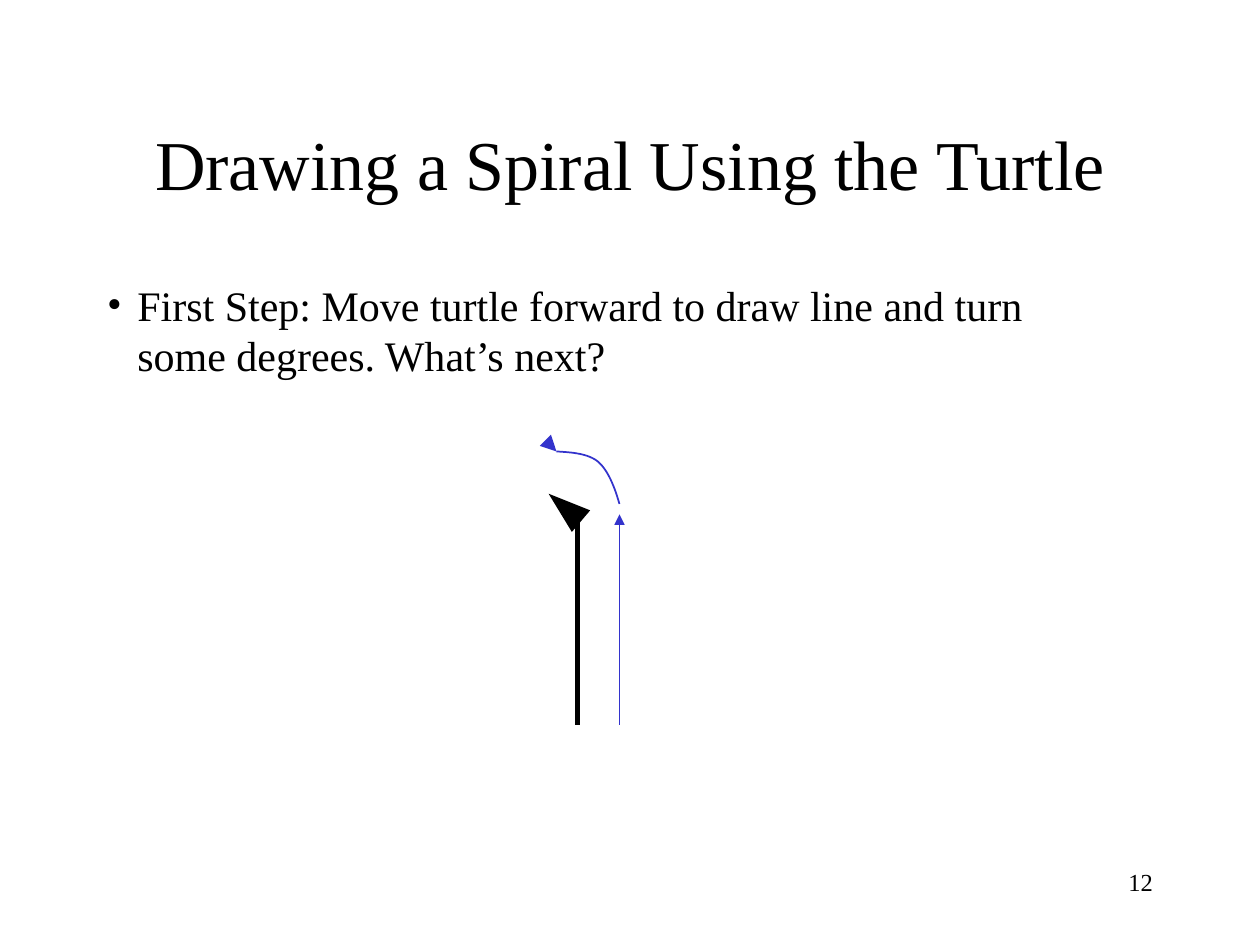
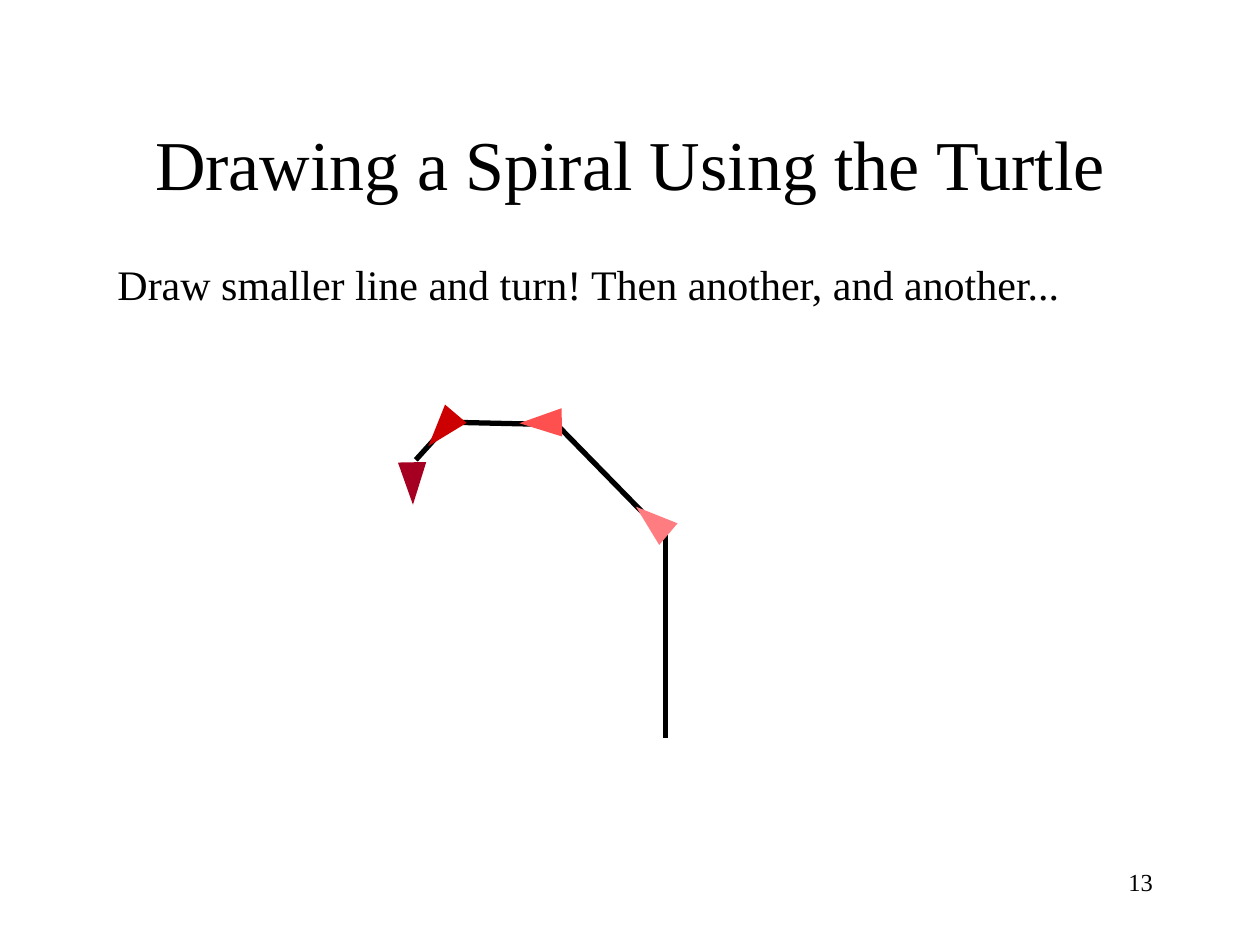
from lxml.etree import SubElement
from pptx import Presentation
from pptx.dml.color import RGBColor
from pptx.enum.shapes import MSO_CONNECTOR, MSO_SHAPE
from pptx.enum.text import MSO_ANCHOR, MSO_AUTO_SIZE, PP_ALIGN
from pptx.oxml.ns import qn
from pptx.util import Inches, Pt

# Shared look: a grid of 120 columns by 90 rows, 12 cells to the inch
CELLS_PER_INCH = 12
COLUMNS, ROWS = 120, 90
FONT = "Times New Roman"
BLACK, BLUE = "000000", "3333CC"
TITLE = "Drawing a Spiral Using the Turtle"
TITLE_AREA = (9, 8, 102, 15)
NUMBER_AREA = (86, 82, 25, 6)
TURTLE_SIZE = (2, 3)
TITLE_AND_BODY, TITLE_ONLY = 1, 5


def cells(*counts):
    return [Inches(count / CELLS_PER_INCH) for count in counts]


def color(hex_string):
    return RGBColor.from_string(hex_string)


def place(shape, area):
    shape.left, shape.top, shape.width, shape.height = cells(*area)


def write(box, text, size=24, align=PP_ALIGN.LEFT, anchor=MSO_ANCHOR.TOP,
          wrap=True, fit=MSO_AUTO_SIZE.NONE):
    frame = box.text_frame
    frame.word_wrap = wrap
    frame.auto_size = fit
    frame.vertical_anchor = anchor
    para = frame.paragraphs[0]
    para.alignment = align
    span = para.add_run()
    span.text = text
    span.font.name = FONT
    span.font.size = Pt(size)
    span.font.color.rgb = color(BLACK)
    return para


def add_text(page, area, text, **form):
    write(page.shapes.add_textbox(*cells(*area)), text, **form)


def add_bullet(para, indent):
    settings = para._p.get_or_add_pPr()
    settings.set("marL", str(Inches(indent)))
    settings.set("indent", str(-Inches(indent)))
    SubElement(settings, qn("a:buFont"), typeface=FONT)
    SubElement(settings, qn("a:buChar"), char="•")


def stroke(shape, hex_string, width):
    shape.line.color.rgb = color(hex_string)
    shape.line.width = Pt(width)


def add_line(page, start, end, hex_string=BLACK, width=3, arrow=False):
    line = page.shapes.add_connector(MSO_CONNECTOR.STRAIGHT,
                                     *cells(*start, *end))
    stroke(line, hex_string, width)
    if arrow:
        SubElement(line.line._get_or_add_ln(), qn("a:tailEnd"),
                   type="triangle")
    SubElement(line._element.spPr, qn("a:effectLst"))


def add_turtle(page, left, top, angle, hex_string=BLACK):
    turtle = page.shapes.add_shape(MSO_SHAPE.ISOSCELES_TRIANGLE,
                                   *cells(left, top, *TURTLE_SIZE))
    turtle.rotation = angle
    turtle.shadow.inherit = False
    turtle.fill.solid()
    turtle.fill.fore_color.rgb = color(hex_string)
    stroke(turtle, hex_string, 3)
    # Sharp corners
    SubElement(turtle.line._get_or_add_ln(), qn("a:miter"), lim="800000")


def bezier_points(start, first, second, end, steps=16):
    for step in range(1, steps + 1):
        t = step / steps
        weights = ((1 - t) ** 3, 3 * t * (1 - t) ** 2,
                   3 * t ** 2 * (1 - t), t ** 3)
        yield tuple(sum(weight * value for weight, value in zip(weights, axis))
                    for axis in zip(start, first, second, end))


def add_curve(page, start, *segments):
    builder = page.shapes.build_freeform(*cells(*start))
    for first, second, end in segments:
        points = bezier_points(start, first, second, end)
        builder.add_line_segments([cells(*point) for point in points],
                                  close=False)
        start = end
    curve = builder.convert_to_shape()
    curve.shadow.inherit = False
    curve.fill.background()
    stroke(curve, BLUE, 1)


def add_page(deck, layout, number):
    page = deck.slides.add_slide(deck.slide_layouts[layout])
    place(page.shapes.title, TITLE_AREA)
    write(page.shapes.title, TITLE, size=40, align=PP_ALIGN.CENTER,
          anchor=MSO_ANCHOR.MIDDLE)
    add_text(page, NUMBER_AREA, str(number), size=14, align=PP_ALIGN.RIGHT)
    return page


def first_step(deck):
    page = add_page(deck, TITLE_AND_BODY, 12)
    body = page.placeholders[1]
    place(body, (9, 26, 93, 10.8))
    para = write(body, "First Step: Move turtle forward to draw line and turn "
                 "some degrees. What’s next?", fit=MSO_AUTO_SIZE.SHAPE_TO_FIT_TEXT)
    add_bullet(para, 0.24)

    # Turtle and the line behind it
    add_turtle(page, 53, 47, 310.3)
    add_line(page, (55, 49), (55, 69))

    # Forward move, then the turn
    add_line(page, (59, 69), (59, 49), BLUE, 1, arrow=True)
    add_curve(page, (59, 48),
              ((58.56, 46.44), (57.96, 44.88), (57, 44)),
              ((56.04, 43.2), (54.48, 43.08), (53, 43)))
    add_line(page, (52.9, 42.9), (53, 43), BLUE, arrow=True)


def next_steps(deck):
    page = add_page(deck, TITLE_ONLY, 13)
    add_text(page, (10, 24, 92.5, 6),
             "Draw smaller line and turn! Then another, and another...",
             wrap=False, fit=MSO_AUTO_SIZE.SHAPE_TO_FIT_TEXT)

    # Spiral, from the longest line to the shortest
    for start, end in (((63.36, 50.28), (63.36, 70.32)),
                       ((52.8, 40.2), (63.24, 50.88)),
                       ((42.36, 40.2), (52.8, 40.44)),
                       ((39.6, 43.8), (43.08, 39.96))):
        add_line(page, start, end)

    # Turtle after each turn
    for left, top, angle, shade in ((50.76, 38.76, 268.9, "FF5050"),
                                    (41.28, 39.24, 220.3, "CC0000"),
                                    (38.28, 44.28, 178.9, "A50021"),
                                    (61.32, 48.24, 310.3, "FF7C80")):
        add_turtle(page, left, top, angle, shade)


def main():
    deck = Presentation()
    deck.slide_width, deck.slide_height = cells(COLUMNS, ROWS)
    first_step(deck)
    next_steps(deck)
    deck.save("out.pptx")


if __name__ == "__main__":
    main()
